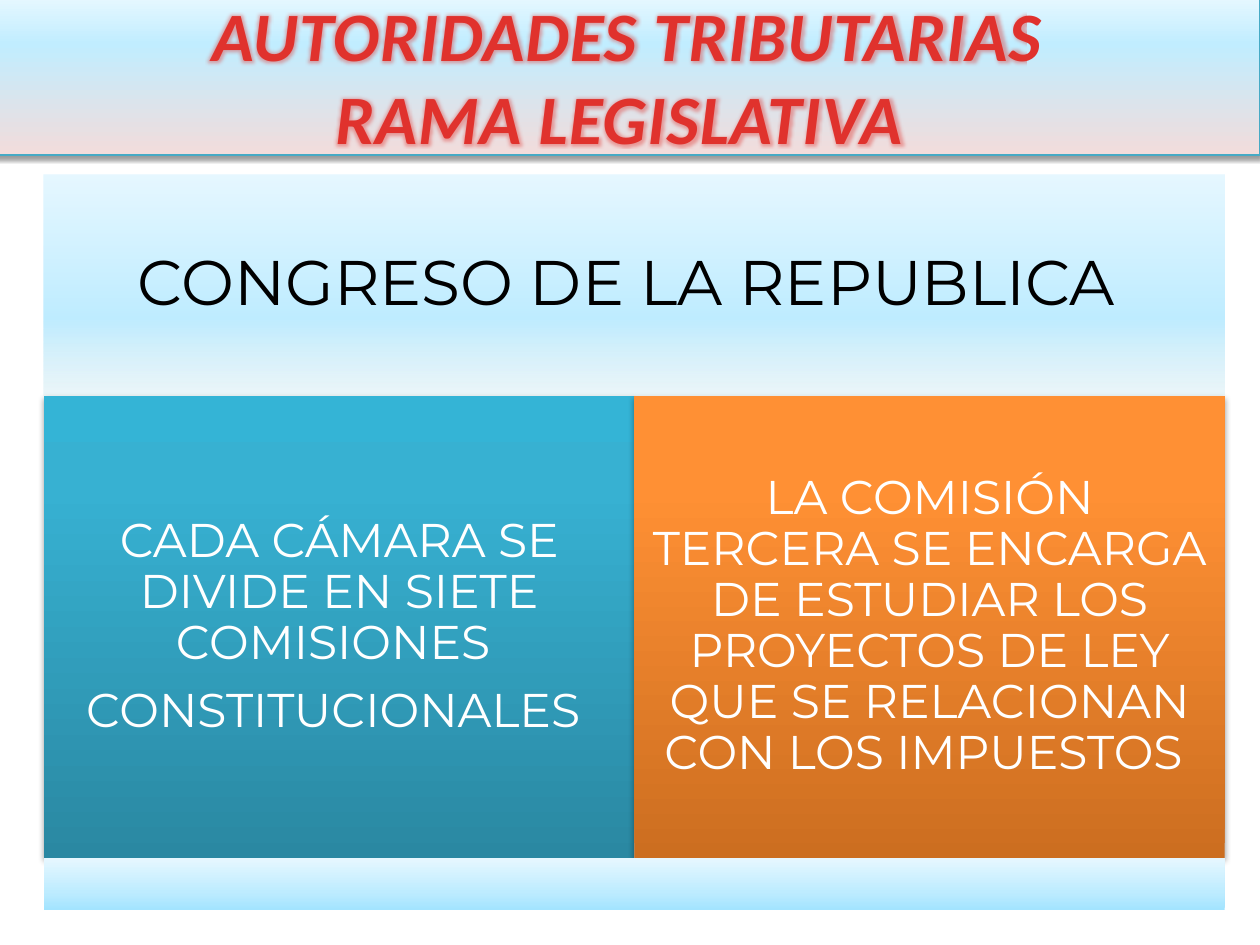
from lxml.etree import SubElement
from pptx import Presentation
from pptx.dml.color import RGBColor
from pptx.enum.shapes import MSO_SHAPE
from pptx.enum.text import MSO_ANCHOR, PP_ALIGN
from pptx.oxml.ns import qn
from pptx.util import Inches, Pt

THEME = {
    "head": [(0, "F2DCDB"), (70, "C1EDFF"), (100, "E7F8FF")],
    "top": [(0, "DBEEF4", 54), (35, "BEECFF"), (100, "E6F7FF")],
    "teal": [(0, "2A88A2"), (80, "37B1D2"), (100, "34B4D6")],
    "warm": [(0, "CC6E20"), (80, "FF9034"), (100, "FF9136")],
    "foot": [(0, "A3E4FF"), (35, "BEECFF"), (100, "E6F7FF")],
    "edge": "46AAC5", "red": "E0322D", "dark": "000000", "light": "FFFFFF",
    "title": 39.6, "big": 36, "body": 27,
    "font": "Montserrat", "bold": "Calibri",
}


def tint(node, code, alpha=100):
    color = SubElement(node, qn("a:srgbClr"), val=code)
    if alpha < 100:
        SubElement(color, qn("a:alpha"), val=str(alpha * 1000))


def panel(x, y, w, h, stops, shade=None):
    box = deck.shapes.add_shape(MSO_SHAPE.RECTANGLE, *map(Inches, (x, y, w, h)))
    box.fill.gradient()
    box.fill.gradient_angle = 90
    ramp = box._element.spPr.find(".//" + qn("a:gsLst"))
    for old in list(ramp):
        ramp.remove(old)
    for place, *color in stops:
        tint(SubElement(ramp, qn("a:gs"), pos=str(place * 1000)), *color)
    box.line.fill.background()
    box.shadow.inherit = False
    if shade:
        alpha, dist = shade
        glow = box._element.spPr.find(qn("a:effectLst"))
        cast = SubElement(glow, qn("a:outerShdw"), blurRad=str(Pt(3.1)),
                          dist=str(Pt(dist)), dir="5400000", rotWithShape="0")
        tint(cast, THEME["dark"], alpha)
    return box


show = Presentation()
show.slide_width, show.slide_height = Inches(10), Inches(7.5)
deck = show.slides.add_slide(show.slide_layouts[6])

head = panel(-0.04, -0.03, 10.04, 1.26, THEME["head"], (38, 1.6))
head.line.color.rgb = RGBColor.from_string(THEME["edge"])
head.line.width = Pt(0.75)
frame = head.text_frame
frame.word_wrap = True
frame.vertical_anchor = MSO_ANCHOR.MIDDLE
line = frame.paragraphs[0]
line.text = "AUTORIDADES TRIBUTARIAS\vRAMA LEGISLATIVA "
line.alignment = PP_ALIGN.CENTER
for run in line.runs:
    font = run.font
    font.size, font.bold, font.italic = Pt(THEME["title"]), True, True
    font.color.rgb = RGBColor.from_string(THEME["red"])
    props = run._r.get_or_add_rPr()
    props.set("spc", "50")
    halo = SubElement(SubElement(props, qn("a:effectLst")), qn("a:glow"), rad=str(Pt(5)))
    tint(halo, THEME["red"], 40)
    font.name = THEME["bold"]

LEFT, TOP, WIDE, TALL = 0.35, 1.39, 9.37, 5.83
ROWS = [0, 0.3, 0.93, 1]
GRID = [
    (0, 0, 1, "top", None, 0.15, "big", "dark", ["CONGRESO DE LA REPUBLICA "]),
    (1, 0, 0.5, "teal", (35, 1.8), 0.11, "body", "light",
     ["CADA CÁMARA SE DIVIDE EN SIETE COMISIONES ", "CONSTITUCIONALES "]),
    (1, 0.5, 0.5, "warm", (35, 1.8), 0.11, "body", "light",
     ["LA COMISIÓN TERCERA SE ENCARGA DE ESTUDIAR LOS PROYECTOS DE LEY "
      "QUE SE RELACIONAN CON LOS IMPUESTOS "]),
    (2, 0, 1, "foot", None, 0, "body", "dark", []),
]
for row, col, span, stops, shade, pad, size, ink, lines in GRID:
    box = panel(LEFT + col * WIDE, TOP + ROWS[row] * TALL, span * WIDE,
                (ROWS[row + 1] - ROWS[row]) * TALL, THEME[stops], shade)
    if not lines:
        continue
    frame = box.text_frame
    frame.text = "\n".join(lines)
    frame.word_wrap = True
    frame.vertical_anchor = MSO_ANCHOR.MIDDLE
    frame.margin_left = frame.margin_right = Inches(pad)
    frame.margin_top = frame.margin_bottom = Inches(pad)
    for line in frame.paragraphs:
        line.alignment = PP_ALIGN.CENTER
        line.line_spacing = 0.9
        line.space_after = Pt(0.35 * THEME[size])
        for run in line.runs:
            run.font.name = THEME["font"]
            run.font.size = Pt(THEME[size])
            run.font.color.rgb = RGBColor.from_string(THEME[ink])

show.save("out.pptx")
